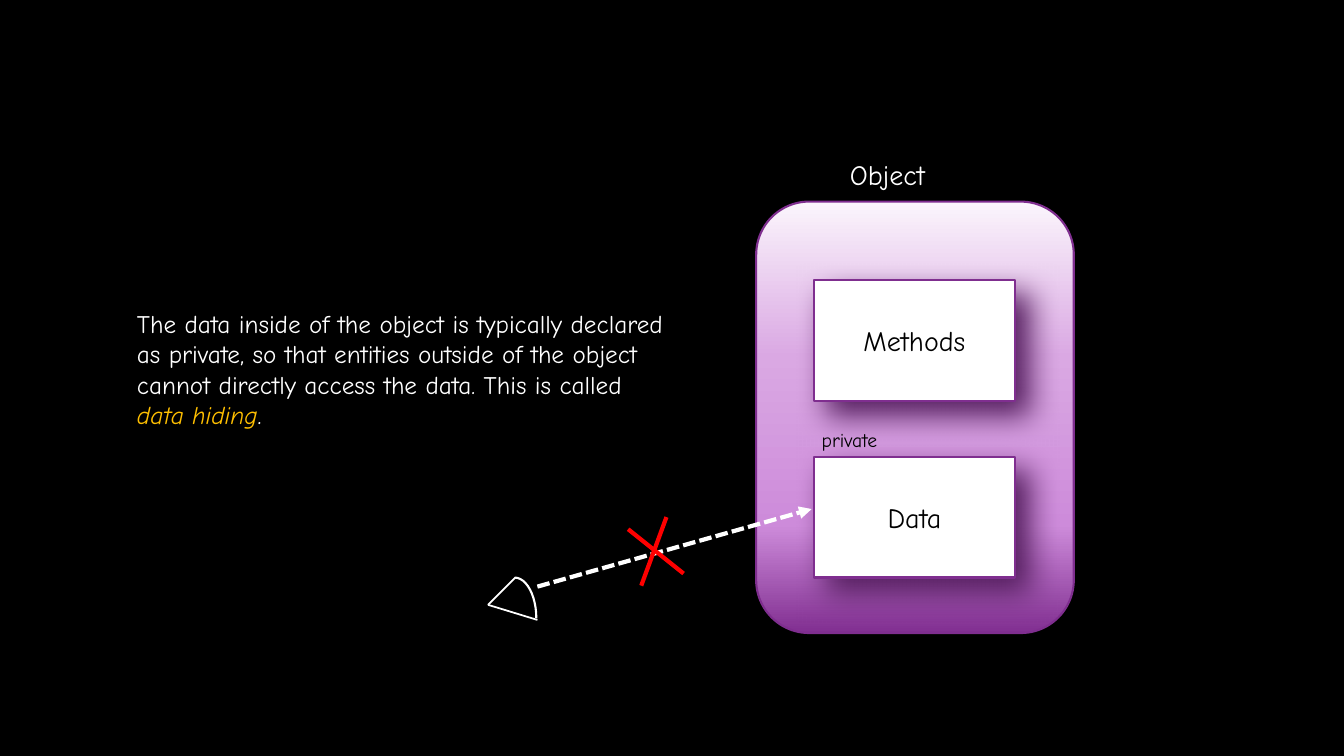
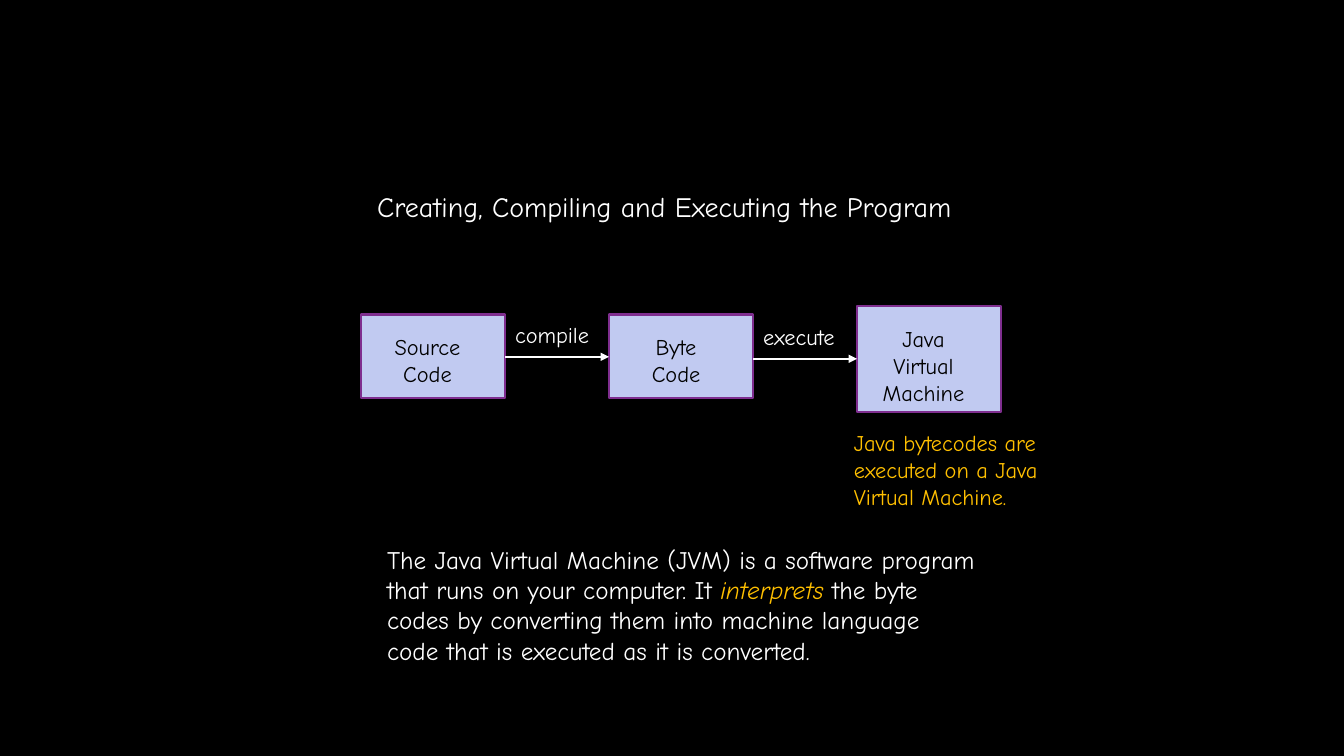
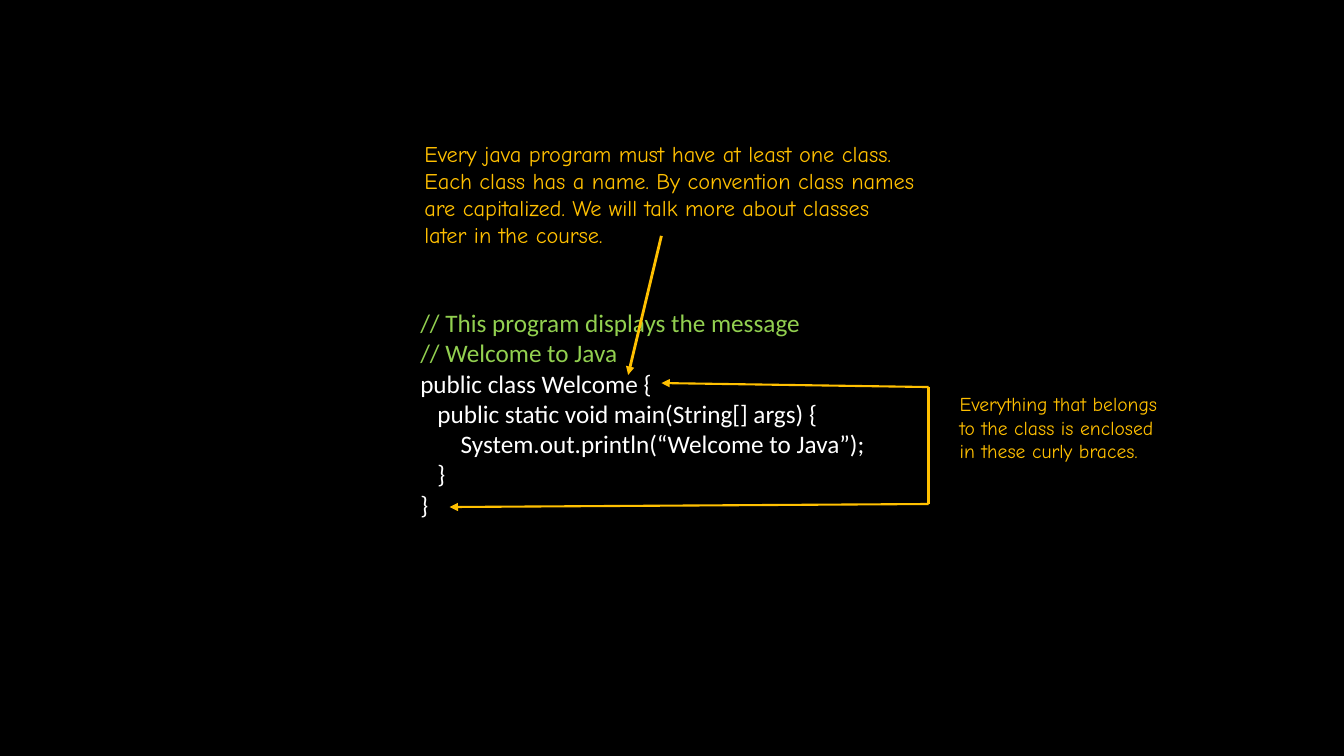
"""Three lecture slides on objects, bytecode and a first Java program."""
from lxml import etree
from pptx import Presentation
from pptx import util as u
from pptx.dml.color import RGBColor
from pptx.enum import dml, shapes, text
from pptx.oxml.ns import qn

BLACK, WHITE, PURPLE, LILAC = "000000", "FFFFFF", "7F2E8F", "C1CAF1"
GOLD, GREEN, RED, SHADE = "FFC000", "92D050", "FF0000", "561F60"
HAND, CODE = "Comic Neue", "Calibri"
CENTER = text.PP_ALIGN.CENTER
GLOW = ((0, "FBF5FC"), (36, "DAA8E3"), (75, "CD8BDA"), (100, "812F91"))


def rgb(value):
    """Turn a hex string into a colour."""
    return RGBColor.from_string(value)


def child(parent, tag, **attributes):
    """Append an XML element with the given attributes."""
    return etree.SubElement(parent, qn(tag), {k: str(v) for k, v in attributes.items()})


def write(frame, line, size=18, color=WHITE, font=HAND, align=text.PP_ALIGN.LEFT, indent=0):
    """Add a paragraph; words between asterisks become golden italics."""
    paragraph = frame.add_paragraph() if frame.text else frame.paragraphs[0]
    paragraph.alignment = align
    if indent:
        paragraph._p.get_or_add_pPr().set("marL", str(u.Inches(indent)))
    for index, words in enumerate(line.split("*")):
        if words:
            run = paragraph.add_run()
            run.text = words
            run.font.name, run.font.size = font, u.Pt(size)
            run.font.italic = index % 2 == 1
            run.font.color.rgb = rgb(GOLD if index % 2 else color)


class Deck:
    """Hold the shared style and the slide being drawn."""

    def __init__(self):
        """Start a widescreen deck on black."""
        self.prs = Presentation()
        self.prs.slide_width, self.prs.slide_height = u.Inches(13.33), u.Inches(7.5)
        background = self.prs.slide_master.background.fill
        background.solid()
        background.fore_color.rgb = rgb(BLACK)
        self.slide = None

    def new_slide(self, layout="Blank"):
        """Add a slide with the named layout."""
        self.slide = self.prs.slides.add_slide(self.prs.slide_layouts.get_by_name(layout))

    def title(self, words, left, top, width, height):
        """Place and format the title placeholder."""
        heading = self.slide.shapes.title
        heading.left, heading.top = u.Inches(left), u.Inches(top)
        heading.width, heading.height = u.Inches(width), u.Inches(height)
        frame = heading.text_frame
        frame.auto_size = text.MSO_AUTO_SIZE.NONE
        frame.vertical_anchor = text.MSO_ANCHOR.TOP
        write(frame, words, size=20)

    def label(self, words, left, top, width, height, **style):
        """Add a text box with one paragraph for each line."""
        box = self.slide.shapes.add_textbox(*map(u.Inches, (left, top, width, height)))
        box.text_frame.word_wrap = True
        for line in words.splitlines():
            write(box.text_frame, line, **style)
        return box.text_frame

    def shape(self, kind, left, top, width, height, fill=None, line=PURPLE):
        """Add a preset shape with a plain fill, or none, and an outline."""
        item = self.slide.shapes.add_shape(kind, *map(u.Inches, (left, top, width, height)))
        item.shadow.inherit = False
        if fill:
            item.fill.solid()
            item.fill.fore_color.rgb = rgb(fill)
        else:
            item.fill.background()
        item.line.color.rgb = rgb(line)
        item.line.width = u.Pt(1.5)
        return item

    def box(self, left, top, width, height, fill=LILAC):
        """Add a rectangle with a purple outline."""
        return self.shape(shapes.MSO_SHAPE.RECTANGLE, left, top, width, height, fill)

    def capsule(self, left, top, width, height):
        """Add a rounded rectangle with the purple gradient."""
        item = self.shape(shapes.MSO_SHAPE.ROUNDED_RECTANGLE, left, top, width, height)
        item.fill.gradient()
        item.fill.gradient_angle = 270
        stops = item.element.spPr.find(".//" + qn("a:gsLst"))
        for stop in list(stops):
            stops.remove(stop)
        for percent, color in GLOW:
            child(child(stops, "a:gs", pos=percent * 1000), "a:srgbClr", val=color)

    def card(self, words, left, top, width, height):
        """Add a white box with centred text and a soft shadow."""
        item = self.box(left, top, width, height, WHITE)
        item.text_frame.vertical_anchor = text.MSO_ANCHOR.MIDDLE
        write(item.text_frame, words, size=20, color=BLACK, align=CENTER)
        effects = item.element.spPr.find(qn("a:effectLst"))
        shadow = child(effects, "a:outerShdw", blurRad=u.Pt(22), dist=u.Pt(14),
                       dir=45 * 60000, algn="tl", rotWithShape=0)
        child(shadow, "a:srgbClr", val=SHADE)

    def line(self, start, end, color=WHITE, width=1.5, dashed=False, arrow=False):
        """Draw a straight line, with an arrowhead at its end if asked."""
        item = self.slide.shapes.add_connector(
            shapes.MSO_CONNECTOR.STRAIGHT, *map(u.Inches, (*start, *end)))
        item.line.color.rgb = rgb(color)
        item.line.width = u.Pt(width)
        if dashed:
            item.line.dash_style = dml.MSO_LINE.SQUARE_DOT
        properties = item.element.spPr
        if arrow:
            child(properties.find(qn("a:ln")), "a:tailEnd", type="triangle")
        child(properties, "a:effectLst")


def data_hiding(deck):
    """Draw an object whose data cannot be seen from outside."""
    deck.new_slide()
    deck.capsule(7.5, 2, 3.15, 4.28)
    for words, top in (("Data", 4.53), ("Methods", 2.78)):
        deck.card(words, 8.07, top, 2, 1.2)
    deck.label("Object", 8.33, 1.51, 1.14, 0.44, size=20)
    deck.label("The data inside of the object is typically declared\n"
               "as private, so that entities outside of the object\n"
               "cannot directly access the data. This is called\n"
               "*data hiding*.", 1.26, 3.01, 6.11, 1.31)
    deck.label("private", 8.05, 4.2, 0.85, 0.34, size=14, color=BLACK)
    eye_corner = (4.84, 6)
    for lid in ((5.11, 5.73), (5.33, 6.15)):
        deck.line(eye_corner, lid, width=1.25)
    deck.shape(shapes.MSO_SHAPE.ARC, 4.89, 5.73, 0.43, 0.81, line=WHITE)
    deck.line((5.33, 5.82), (8.05, 5.05), width=3, dashed=True, arrow=True)
    for start, end in (((6.23, 5.25), (6.78, 5.69)), ((6.61, 5.13), (6.36, 5.81))):
        deck.line(start, end, RED, 3)


def compiling(deck):
    """Draw the way from source code to the virtual machine."""
    deck.new_slide("Title Only")
    deck.title("Creating, Compiling and Executing the Program", 3.64, 1.83, 6.29, 0.44)
    stages = (("Source\nCode", 3.12, 0.83, 3.77, 0.94),
              ("Byte\nCode", 3.12, 0.83, 6.35, 0.71),
              ("Java\nVirtual\nMachine", 3.04, 1.05, 8.63, 1.06))
    first, step, width = 3.58, 2.46, 1.43
    for index, (words, top, height, left, room) in enumerate(stages):
        deck.box(first + index * step, top, width, height)
        deck.label(words, left, top + 0.14, room, height - 0.19,
                   size=16, color=BLACK, align=CENTER)
    for index, (words, level) in enumerate((("compile", 3.54), ("execute", 3.56))):
        left = first + width + index * step
        deck.line((left, level), (first + (index + 1) * step, level), width=1.75, arrow=True)
        deck.label(words, left, level - 0.4, 1.04, 0.37, size=16)
    deck.label("Java bytecodes are\nexecuted on a Java\nVirtual Machine.",
               8.37, 4.21, 2.25, 0.91, size=16, color=GOLD)
    deck.label("The Java Virtual Machine (JVM) is a software program\n"
               "that runs on your computer. It *interprets* the byte\n"
               "codes by converting them into machine language\n"
               "code that is executed as it is converted.", 3.74, 5.35, 6.68, 1.31)


def first_program(deck):
    """Show a small program with notes on its class."""
    deck.new_slide()
    program = deck.label("// This program displays the message\n// Welcome to Java",
                         4.07, 3, 4.66, 2.22, color=GREEN, font=CODE)
    for line, indent in (("public class Welcome {", 0),
                         ("public static void main(String[] args) {", 0.17),
                         ("System.out.println(“Welcome to Java”);", 0.4),
                         ("}", 0.17),
                         ("}", 0)):
        write(program, line, font=CODE, indent=indent)
    deck.label("Every java program must have at least one class.\n"
               "Each class has a name. By convention class names\n"
               "are capitalized. We will talk more about classes\n"
               "later in the course.", 4.11, 1.34, 5.31, 1.18, size=16, color=GOLD)
    deck.line((6.56, 2.34), (6.23, 3.72), GOLD, 2, arrow=True)
    upper, lower = (9.21, 3.84), (9.21, 5)
    deck.line(lower, (4.46, 5.03), GOLD, arrow=True)
    deck.line(upper, (6.56, 3.8), GOLD, arrow=True)
    deck.line(upper, lower, GOLD, 1.75)
    deck.label("Everything that belongs\nto the class is enclosed\nin these curly braces.",
               9.42, 3.84, 2.39, 0.81, size=14, color=GOLD)


def main():
    """Build and save the deck."""
    deck = Deck()
    for draw in (data_hiding, compiling, first_program):
        draw(deck)
    deck.prs.save("out.pptx")


if __name__ == "__main__":
    main()
